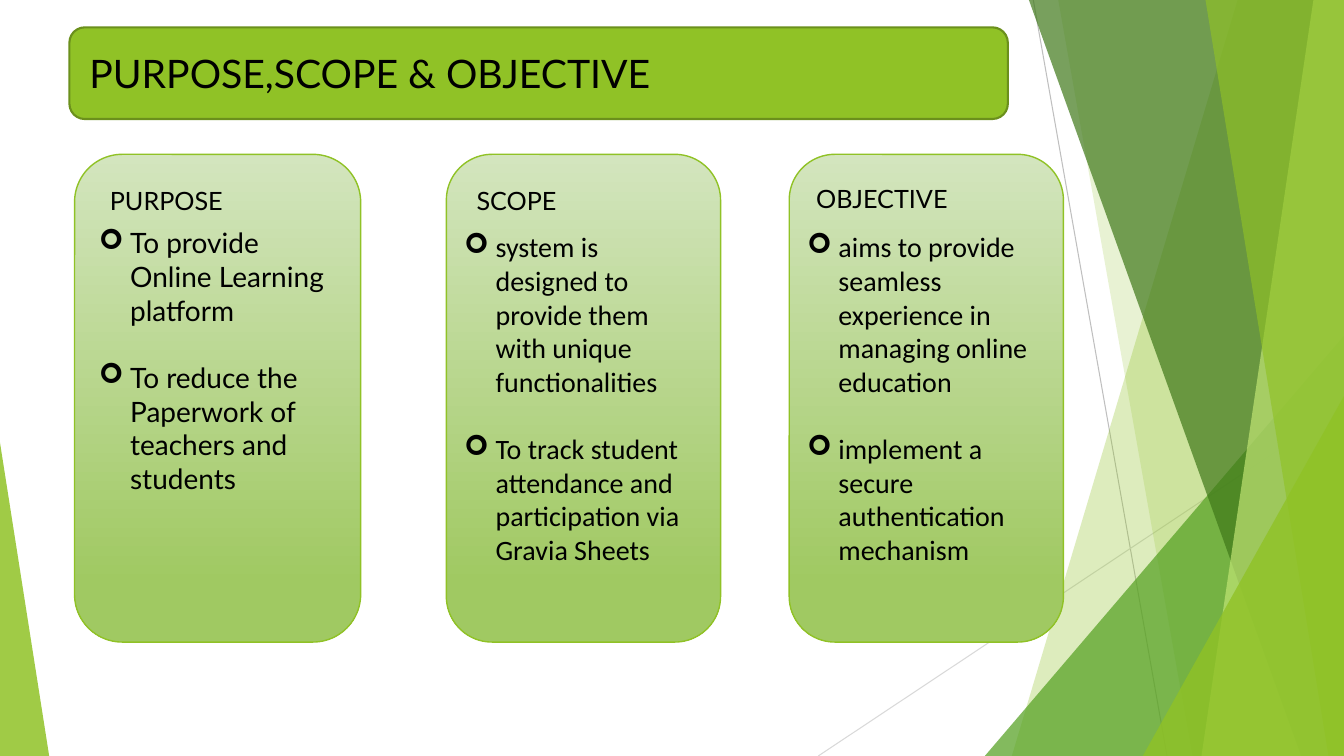
from lxml import etree
from pptx import Presentation
from pptx.dml.color import RGBColor
from pptx.enum.shapes import MSO_CONNECTOR, MSO_SHAPE
from pptx.enum.text import MSO_ANCHOR, MSO_AUTO_SIZE, PP_ALIGN
from pptx.oxml.ns import qn
from pptx.util import Cm, Pt

WIDTH, HEIGHT = 33.87, 19.05  # all lengths are in centimetres

BLACK = RGBColor(0x00, 0x00, 0x00)
LIME = RGBColor(0x90, 0xC2, 0x26)
OLIVE = RGBColor(0x6B, 0x90, 0x1C)
GREEN = RGBColor(0x54, 0xA0, 0x21)
FOREST = RGBColor(0x3F, 0x78, 0x19)
PALE_LIME = RGBColor(0xC0, 0xE4, 0x74)
CARD_TOP = RGBColor(0xD3, 0xE5, 0xBE)
CARD_BOTTOM = RGBColor(0xA0, 0xC9, 0x62)
GREY = RGBColor(0xBF, 0xBF, 0xBF)
LIGHT_GREY = RGBColor(0xD9, 0xD9, 0xD9)

CARDS = [
    # box, heading offset, body offset, body width, body font, heading, points
    ((1.88, 3.89, 7.21, 12.29), (0.64, 0.66), (0.36, 1.68), 6.25, "Lato", "PURPOSE",
     ["To provide Online Learning platform",
      "To reduce the Paperwork of teachers and students"]),
    ((11.25, 3.89, 6.91, 12.29), (0.51, 0.66), (0.2, 1.78), 6.43, "Calibri", "SCOPE",
     ["system is designed to provide them with unique functionalities",
      "To track student attendance and participation via Gravia Sheets"]),
    ((19.89, 3.89, 6.91, 12.29), (0.43, 0.6), (0.2, 1.78), 6.17, "Calibri", "OBJECTIVE",
     ["aims to provide seamless experience in managing online education",
      "implement a secure authentication mechanism"]),
]


def lengths(*values):
    return [Cm(value) for value in values]


def fill_translucent(shape, color, opacity):
    shape.shadow.inherit = False
    shape.line.fill.background()
    shape.fill.solid()
    shape.fill.fore_color.rgb = color
    color_element = shape.element.spPr.find(qn("a:solidFill"))[0]
    etree.SubElement(color_element, qn("a:alpha"), val=str(opacity * 1000))


def add_thin_line(slide, start, end, color):
    line = slide.shapes.add_connector(MSO_CONNECTOR.STRAIGHT, *lengths(*start, *end))
    line.line.color.rgb = color
    line.line.width = Pt(0.75)
    etree.SubElement(line.element.spPr, qn("a:effectLst"))


def add_beam(slide, top_x, bottom_x, color, opacity):
    """Full-height band from a slanted left edge to the right slide edge."""
    builder = slide.shapes.build_freeform(*lengths(top_x, 0))
    corners = [(WIDTH, 0), (WIDTH, HEIGHT), (bottom_x, HEIGHT)]
    builder.add_line_segments([lengths(*corner) for corner in corners])
    fill_translucent(builder.convert_to_shape(), color, opacity)


def add_wedge(slide, left, top, width, apex, color, opacity):
    """Triangle that stands on the bottom slide edge."""
    wedge = slide.shapes.add_shape(MSO_SHAPE.ISOSCELES_TRIANGLE,
                                   *lengths(left, top, width, HEIGHT - top))
    wedge.adjustments[0] = apex
    fill_translucent(wedge, color, opacity)


def add_backdrop(slide):
    add_thin_line(slide, (26.04, 0), (29.41, HEIGHT), GREY)
    add_thin_line(slide, (WIDTH, 10.24), (20.62, HEIGHT), LIGHT_GREY)
    add_beam(slide, 31.19, 25.5, LIME, 30)
    add_beam(slide, 26.67, 30.05, LIME, 20)
    add_wedge(slide, 24.82, 8.46, 9.05, 1, GREEN, 72)
    add_beam(slide, 25.93, 32.79, FOREST, 70)
    add_beam(slide, 33.1, 30.28, PALE_LIME, 70)
    add_beam(slide, 30.38, 33.48, LIME, 65)
    add_wedge(slide, 28.8, 9.98, 5.07, 1, LIME, 80)
    add_wedge(slide, 0, 11.15, 1.24, 0, LIME, 85)


def add_rounded_box(slide, box, line_color, line_width):
    shape = slide.shapes.add_shape(MSO_SHAPE.ROUNDED_RECTANGLE, *lengths(*box))
    shape.shadow.inherit = False
    shape.line.color.rgb = line_color
    shape.line.width = Pt(line_width)
    return shape


def format_paragraph(paragraph, size, font_name):
    paragraph.alignment = PP_ALIGN.LEFT
    paragraph.font.size = Pt(size)
    paragraph.font.name = font_name
    paragraph.font.color.rgb = BLACK


def add_title(slide, box):
    left, top, width, height = box
    bar = add_rounded_box(slide, box, OLIVE, 1.5)
    bar.fill.solid()
    bar.fill.fore_color.rgb = LIME

    title = slide.shapes.title
    title.left, title.top, title.width, title.height = lengths(
        left + 0.25, top + 0.43, width - 0.5, height - 0.86)
    title.text_frame.text = "PURPOSE,SCOPE & OBJECTIVE"
    title.text_frame.auto_size = MSO_AUTO_SIZE.NONE
    title.text_frame.vertical_anchor = MSO_ANCHOR.MIDDLE
    format_paragraph(title.text_frame.paragraphs[0], 28, "Lato")
    # Bring the title in front of its bar
    title.element.getparent().append(title.element)


def add_text(slide, box):
    frame = slide.shapes.add_textbox(*lengths(*box)).text_frame
    frame.word_wrap = True
    return frame


def add_bullet(paragraph):
    properties = paragraph._p.get_or_add_pPr()
    properties.set("marL", str(Cm(0.79)))
    properties.set("indent", str(-Cm(0.79)))
    etree.SubElement(properties, qn("a:buFont"), typeface="Wingdings")
    etree.SubElement(properties, qn("a:buChar"), char="➢")
    # Default run properties must follow the bullet
    properties.append(properties.find(qn("a:defRPr")))


def add_card(slide, box, heading_offset, body_offset, body_width, body_font, heading, points):
    left, top, width, height = box
    card = add_rounded_box(slide, box, LIME, 1)
    card.fill.gradient()
    card.fill.gradient_angle = 270
    for stop, position, color in zip(card.fill.gradient_stops, (0, 0.88),
                                     (CARD_TOP, CARD_BOTTOM)):
        stop.position = position
        stop.color.rgb = color

    # Heading
    heading_left, heading_top = heading_offset
    frame = add_text(slide, (left + heading_left, top + heading_top, 5.8, 1.02))
    frame.text = heading
    format_paragraph(frame.paragraphs[0], 18, "Lato")

    # Bulleted points
    body_left, body_top = body_offset
    frame = add_text(slide, (left + body_left, top + body_top, body_width, 8.8))
    frame.text = "\n".join(points)
    for index, paragraph in enumerate(frame.paragraphs):
        paragraph.space_before = Pt(24 * index)
        format_paragraph(paragraph, 20, body_font)
        add_bullet(paragraph)


def main():
    presentation = Presentation()
    presentation.slide_width, presentation.slide_height = lengths(WIDTH, HEIGHT)
    slide = presentation.slides.add_slide(presentation.slide_layouts[5])
    add_backdrop(slide)
    add_title(slide, (1.75, 0.69, 23.65, 2.31))
    for card in CARDS:
        add_card(slide, *card)
    presentation.save("out.pptx")


if __name__ == "__main__":
    main()
